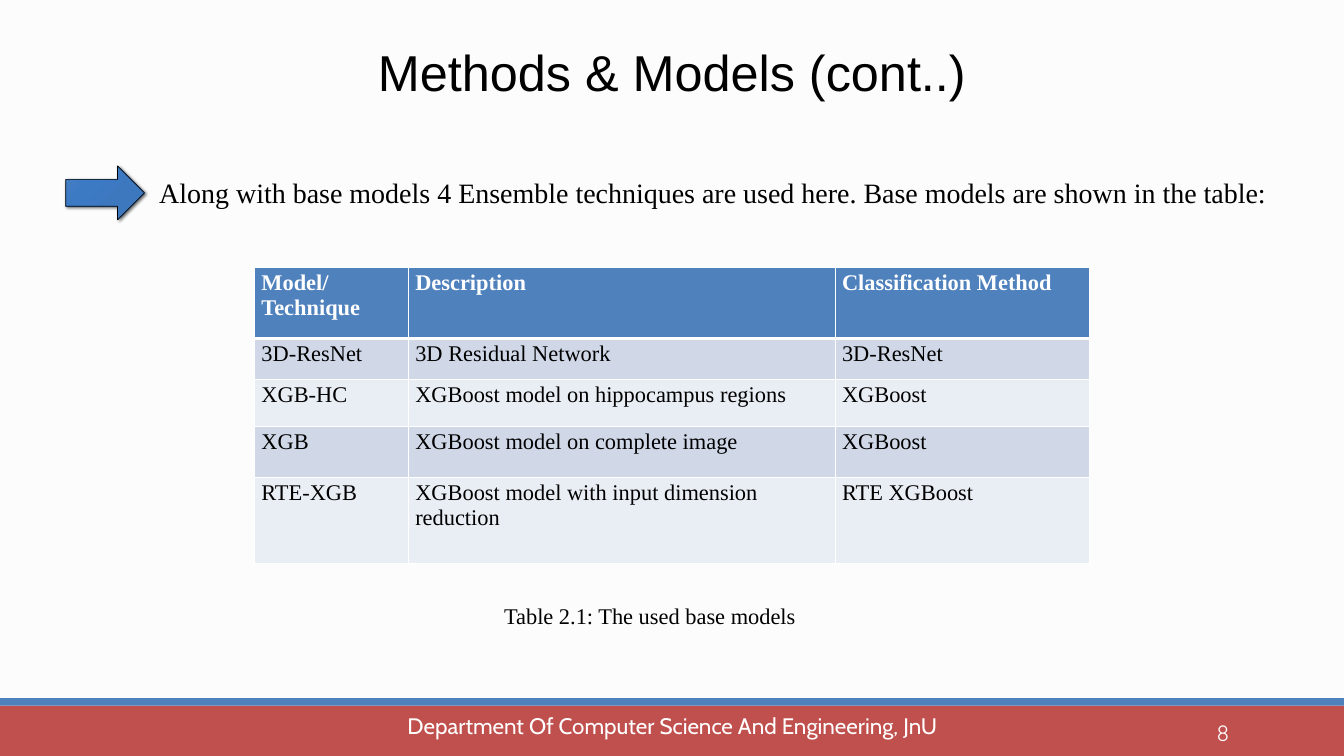
from pptx import Presentation
from pptx.util import Inches, Pt
from pptx.dml.color import RGBColor
from pptx.enum.shapes import MSO_SHAPE as SHAPE
from pptx.enum.text import PP_ALIGN as AL, MSO_ANCHOR as ANC
from pptx.oxml import parse_xml
from pptx.oxml.ns import nsdecls

C = {"bg": "FCFCFC", "red": "C0504D", "blue": "4F81BD", "black": "000000",
     "white": "FFFFFF", "odd": "D0D8E8", "even": "E9EDF4"}


def rgb(name):
    return RGBColor.from_string(C[name])


def add_text(box, text, size, font, color, align=AL.LEFT, anchor=ANC.TOP):
    tf = s.shapes.add_textbox(*map(Inches, box)).text_frame
    tf.word_wrap = True
    tf.vertical_anchor = anchor
    p = tf.paragraphs[0]
    p.text, p.alignment = text, align
    p.font.size, p.font.name = Pt(size), font
    p.font.color.rgb = rgb(color)
    return tf


prs = Presentation()
prs.slide_width, prs.slide_height = Inches(20), Inches(11.25)
s = prs.slides.add_slide(prs.slide_layouts[6])
s.background.fill.solid()
s.background.fill.fore_color.rgb = rgb("bg")

for top, height, color in [(10.5, 0.75, "red"), (10.39, 0.11, "blue")]:
    bar = s.shapes.add_shape(SHAPE.RECTANGLE, 0, Inches(top), Inches(20), Inches(height))
    bar.shadow.inherit = False
    bar.fill.solid()
    bar.fill.fore_color.rgb = rgb(color)
    bar.line.fill.background()

title = add_text((5.03, 0.71, 9.94, 0.83), "Methods & Models (cont..)", 54, "Arial", "black", AL.CENTER)
title.margin_left = title.margin_right = title.margin_top = title.margin_bottom = 0
title.paragraphs[0].line_spacing = Pt(57.5)

add_text((2.27, 2.56, 16.75, 0.61),
         "Along with base models 4 Ensemble techniques are used here. Base models are shown in the table:",
         30, "Times New Roman", "black")

rows = [
    ("Model/\nTechnique", "Description", "Classification Method"),
    ("3D-ResNet", "3D Residual Network", "3D-ResNet"),
    ("XGB-HC", "XGBoost model on hippocampus regions", "XGBoost"),
    ("XGB", "XGBoost model on complete image", "XGBoost"),
    ("RTE-XGB", "XGBoost model with input dimension reduction", "RTE XGBoost"),
]
table = s.shapes.add_table(5, 3, Inches(3.79), Inches(3.98), Inches(12.42), Inches(4.4)).table
for col, width in zip(table.columns, [2.29, 6.35, 3.78]):
    col.width = Inches(width)
for row, height in zip(table.rows, [1.06, 0.6, 0.7, 0.76, 1.28]):
    row.height = Inches(height)
for i, texts in enumerate(rows):
    for j, text in enumerate(texts):
        cell = table.cell(i, j)
        cell.text = text
        cell.fill.solid()
        cell.fill.fore_color.rgb = rgb("blue" if i == 0 else "odd" if i % 2 else "even")
        for p in cell.text_frame.paragraphs:
            p.font.size, p.font.name, p.font.bold = Pt(24), "Times New Roman", i == 0
            p.font.color.rgb = rgb("white" if i == 0 else "black")
        tcPr = cell._tc.get_or_add_tcPr()
        for k, side in enumerate("LRTB"):
            thick = (i, side) in [(0, "B"), (1, "T")]
            tcPr.insert(k, parse_xml(
                f'<a:ln{side} {nsdecls("a")} w="{Pt(3 if thick else 1)}"><a:solidFill>'
                f'<a:srgbClr val="{C["white"]}"/></a:solidFill></a:ln{side}>'))

add_text((4.67, 8.91, 10, 0.5), "Table 2.1: The used base models", 24, "Times New Roman", "black", AL.CENTER)

arrow = s.shapes.add_shape(SHAPE.RIGHT_ARROW, Inches(0.98), Inches(2.47), Inches(1.17), Inches(0.8))
arrow.line.color.rgb = rgb("black")
arrow.line.width = Pt(0.75)
stops = [(0, "3A77BF"), (34, "3D78BF"), (70, "3C7AC4"), (100, "4A81C3")]
gs = "".join(f'<a:gs pos="{pos * 1000}"><a:srgbClr val="{val}"/></a:gs>' for pos, val in stops)
spPr = arrow._element.spPr
spPr.insert(2, parse_xml(
    f'<a:gradFill {nsdecls("a")}><a:gsLst>{gs}</a:gsLst><a:path path="circle">'
    '<a:fillToRect l="100000" t="100000"/></a:path></a:gradFill>'))
spPr.append(parse_xml(
    f'<a:effectLst {nsdecls("a")}><a:outerShdw blurRad="{Pt(3.5)}" dist="{Pt(2)}" dir="2700000">'
    f'<a:srgbClr val="{C["black"]}"><a:alpha val="60000"/></a:srgbClr></a:outerShdw></a:effectLst>'))

add_text((16.24, 10.6, 2.15, 0.6), "8", 24, "Quicksand", "white", AL.RIGHT, ANC.MIDDLE)
add_text((4.89, 10.49, 10.23, 0.6), "Department Of Computer Science And Engineering, JnU",
         24, "Cabin", "white", AL.CENTER, ANC.MIDDLE)

prs.save("out.pptx")
